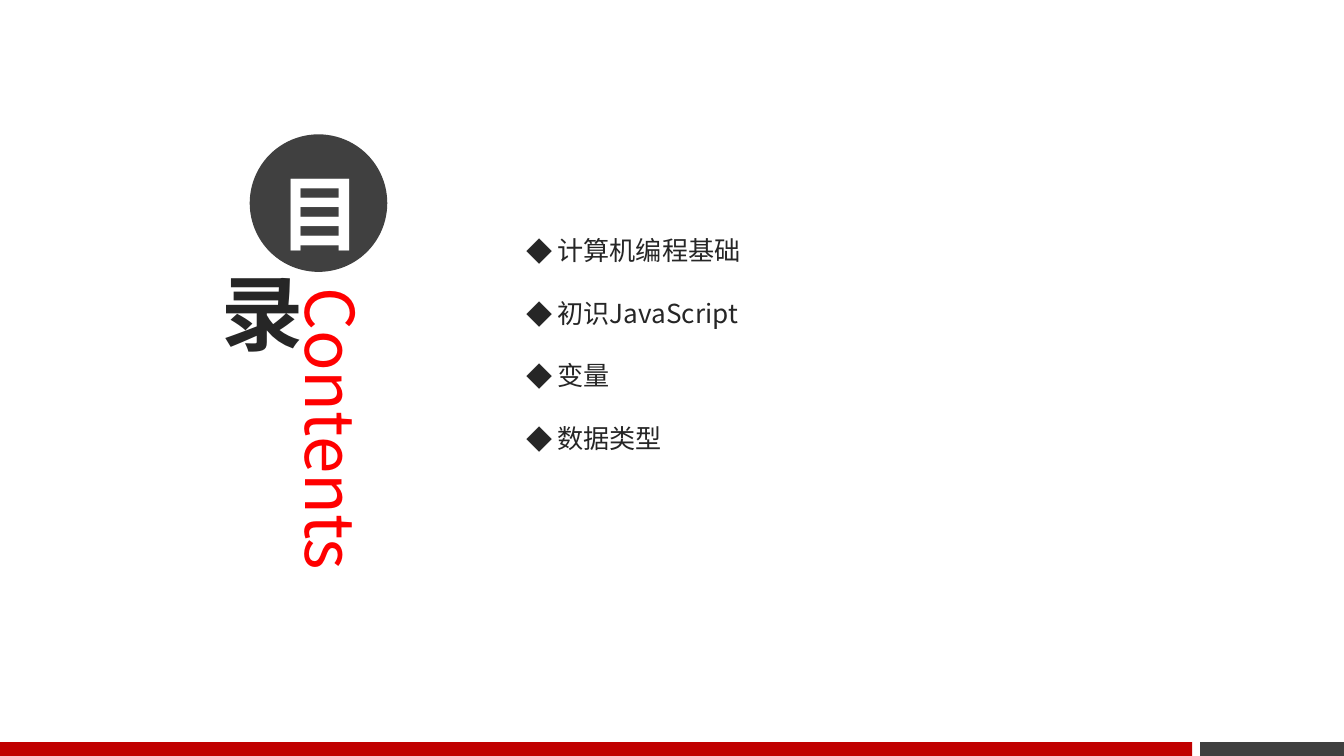
"""Build a contents slide with a vertical heading and a bulleted list."""
from lxml import etree
from pptx import Presentation
from pptx.dml.color import RGBColor
from pptx.enum.shapes import MSO_SHAPE as SHAPE
from pptx.enum.text import MSO_ANCHOR as ANCHOR, MSO_AUTO_SIZE as AUTO, PP_ALIGN as ALIGN
from pptx.oxml.ns import qn
from pptx.util import Cm, Pt

FONT = "Noto Sans CJK SC"
RED, GREY, INK, WHITE = "C00000", "404040", "262626", "FFFFFF"


def add_text(p, text, size=14, color=INK, bold=False, align=ALIGN.LEFT, spacing=1.0):
    p.alignment, p.line_spacing = align, spacing
    p.space_before = Pt(0)
    r = p.add_run()
    r.text = text
    r.font.name, r.font.size, r.font.bold = FONT, Pt(size), bold
    r.font.color.rgb = RGBColor.from_string(color)
    etree.SubElement(r.font._element, qn("a:ea"), typeface=FONT)


def add_block(shapes, kind, left, top, width, height, fill=None):
    sp = shapes.add_shape(kind, Cm(left), Cm(top), Cm(width), Cm(height))
    sp.shadow.inherit = False
    sp.line.fill.background()
    if fill:
        sp.fill.solid()
        sp.fill.fore_color.rgb = RGBColor.from_string(fill)
    else:
        sp.fill.background()
    return sp


prs = Presentation()
prs.slide_width, prs.slide_height = Cm(25.4), Cm(14.29)
s = prs.slides.add_slide(prs.slide_layouts[1])
title, body = s.placeholders

add_block(s.shapes, SHAPE.RECTANGLE, 22.68, 14.03, 2.72, 0.26, GREY)
add_block(s.shapes, SHAPE.RECTANGLE, 0, 14.03, 22.53, 0.26, RED)

title.left, title.top, title.width, title.height = Cm(5.44), Cm(5.33), Cm(1.78), Cm(7.34)
tf = title.text_frame
tf.auto_size, tf.vertical_anchor = AUTO.NONE, ANCHOR.TOP
tf.margin_left = tf.margin_right = Cm(0.18)
tf.margin_top = tf.margin_bottom = Cm(0.1)
title.element.txBody.bodyPr.set("vert", "eaVert")
add_text(tf.paragraphs[0], "Contents", size=36, color="FF0000")

for text, left, top, size, fill, color, bottom, spacing in (
    ("目", 4.72, 2.54, 2.6, GREY, WHITE, 0.38, Pt(70)),
    ("录", 3.71, 4.88, 2.03, None, INK, 0.1, 1.0),
):
    sp = add_block(s.shapes, SHAPE.OVAL, left, top, size, size, fill)
    tf = sp.text_frame
    tf.vertical_anchor = ANCHOR.MIDDLE
    tf.margin_left = tf.margin_right = Cm(0.18)
    tf.margin_top, tf.margin_bottom = Cm(0.1), Cm(bottom)
    add_text(tf.paragraphs[0], text, size=44, color=color, bold=True,
             align=ALIGN.CENTER, spacing=spacing)

body.left, body.top, body.width, body.height = Cm(9.7), Cm(3.71), Cm(11.99), Cm(4.85)
tf = body.text_frame
tf.auto_size, tf.vertical_anchor = AUTO.NONE, ANCHOR.TOP
topics = ("计算机编程基础", "初识JavaScript", "变量", "数据类型")
for i, topic in enumerate(topics):
    p = tf.add_paragraph() if i else tf.paragraphs[0]
    add_text(p, topic, spacing=2.0)
    pPr = p._p.get_or_add_pPr()
    pPr.set("marL", str(Cm(0.58)))
    pPr.set("indent", str(-Cm(0.58)))
    etree.SubElement(etree.SubElement(pPr, qn("a:buClr")), qn("a:srgbClr"), val=INK)
    etree.SubElement(pPr, qn("a:buFont"), typeface=FONT)
    etree.SubElement(pPr, qn("a:buChar"), char="◆")

prs.save("out.pptx")
